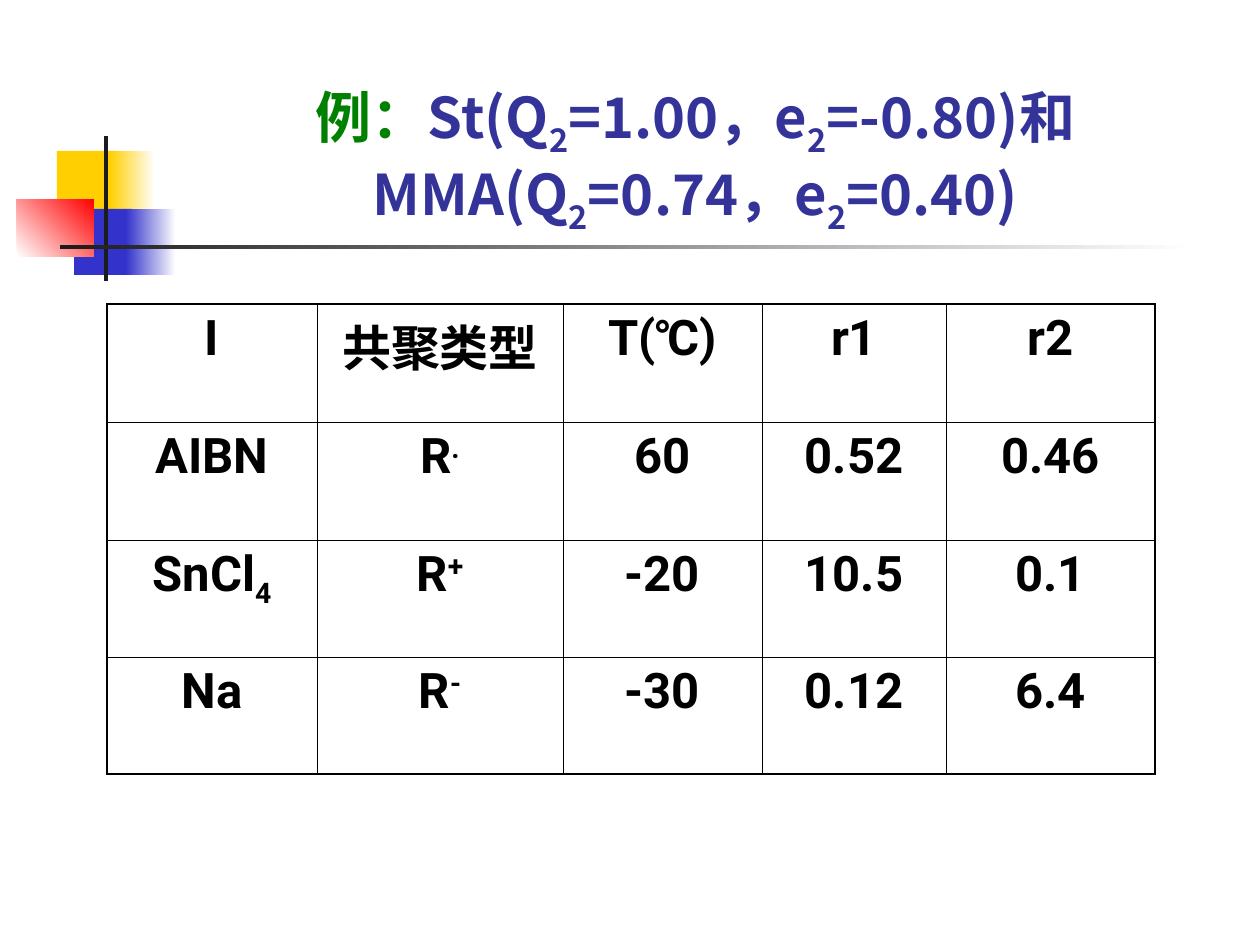
from lxml.etree import SubElement
from pptx import Presentation
from pptx.dml.color import RGBColor as RGB
from pptx.enum.shapes import MSO_SHAPE as SHAPE
from pptx.enum.text import MSO_ANCHOR as ANCHOR, PP_ALIGN as ALIGN
from pptx.oxml.ns import qn
from pptx.util import Pt

PX = 914400 / 126


class Theme:
    gold, blue, red = "FFCF01", "3333CC", "FF0000"
    white, dark, black = "FFFFFF", "1C1C1C", "000000"
    green, navy = "008000", "333399"
    cjk, latin = "Noto Sans CJK JP", "Roboto"
    head, cell = 32, 28
    thick, thin = 1.08, 0.45


def emu(*nums):
    return [round(n * PX) for n in nums]


def write(par, text, size, color, font, shift=0):
    """Add one bold run; shift raises or lowers it, in percent."""
    run = par.add_run()
    run.text = text
    face = run.font
    face.size, face.bold, face.name = Pt(size), True, font
    face.color.rgb = RGB.from_string(color)
    props = run._r.get_or_add_rPr()
    SubElement(props, qn("a:ea")).set("typeface", Theme.cjk)
    if shift:
        props.set("baseline", str(shift * 1000))


def write_all(par, parts, **form):
    """Write plain strings and (text, shift) pairs in turn."""
    par.alignment = ALIGN.CENTER
    for part in parts:
        text, shift = (part, 0) if isinstance(part, str) else part
        write(par, text, shift=shift, **form)


def block(slide, x, y, w, h, color, end=None, angle=0):
    rect = slide.shapes.add_shape(SHAPE.RECTANGLE, *emu(x, y, w, h))
    rect.shadow.inherit = False
    rect.line.fill.background()
    if end is None:
        rect.fill.solid()
        rect.fill.fore_color.rgb = RGB.from_string(color)
        return
    rect.fill.gradient()
    rect.fill.gradient_angle = angle
    for stop, tone in zip(rect.fill.gradient_stops, (color, end)):
        stop.color.rgb = RGB.from_string(tone)


def add_motif(slide, x, y):
    # Yellow and blue bars, each fading to white
    block(slide, x + 40, y + 15, 61, 65, Theme.gold)
    block(slide, x + 93, y + 15, 45, 65, Theme.gold, Theme.white)
    block(slide, x + 57, y + 73, 58, 66, Theme.blue)
    block(slide, x + 109, y + 73, 50, 66, Theme.blue, Theme.white)
    # Red corner
    block(slide, x, y + 63, 77, 58, Theme.white, Theme.red, 45)
    # Crossing rules
    block(slide, x + 87, y, 4, 145, Theme.dark)
    block(slide, x + 43, y + 109, 1134, 4, Theme.dark, Theme.white)


def add_title(slide, x, y, w, h):
    frame = slide.shapes.add_textbox(*emu(x, y, w, h)).text_frame
    frame.word_wrap = True
    frame.vertical_anchor = ANCHOR.BOTTOM
    par = frame.paragraphs[0]
    form = dict(size=Theme.head, font=Theme.cjk)
    sub = ("2", -25)
    write_all(par, ["例："], color=Theme.green, **form)
    write_all(par, ["St(Q", sub, "=1.00，e", sub, "=-0.80)和MMA(Q", sub,
                    "=0.74，e", sub, "=0.40)"], color=Theme.navy, **form)


def set_edge(cell, side, width):
    line = SubElement(cell._tc.get_or_add_tcPr(), qn("a:ln" + side))
    line.set("w", str(Pt(width)))
    fill = SubElement(line, qn("a:solidFill"))
    SubElement(fill, qn("a:srgbClr")).set("val", Theme.black)


def add_grid(slide, x, y, cols, rows, data):
    table = slide.shapes.add_table(
        len(rows), len(cols), *emu(x, y, sum(cols), sum(rows))).table
    table.first_row = table.horz_banding = False
    for col, width in zip(table.columns, emu(*cols)):
        col.width = width
    for row, height in zip(table.rows, emu(*rows)):
        row.height = height
    for r, line in enumerate(data):
        for c, parts in enumerate(line):
            cell = table.cell(r, c)
            # Outer edges are thick, inner ones thin
            outer = {"L": c == 0, "R": c == len(cols) - 1,
                     "T": r == 0, "B": r == len(rows) - 1}
            for side, edge in outer.items():
                set_edge(cell, side, Theme.thick if edge else Theme.thin)
            cell.fill.background()
            write_all(cell.text_frame.paragraphs[0], parts, size=Theme.cell,
                      color=Theme.black, font=Theme.latin)


def main():
    deck = Presentation()
    deck.slide_width, deck.slide_height = emu(1260, 945)
    slide = deck.slides.add_slide(deck.slide_layouts[6])
    add_motif(slide, 17, 136)
    add_title(slide, 159, 84, 1073, 158)
    add_grid(slide, 107, 304, [210, 246, 199, 184, 209], [118, 118, 117, 117], [
        [["I"], ["共聚类型"], ["T(℃)"], ["r1"], ["r2"]],
        [["AIBN"], ["R", (".", 30)], ["60"], ["0.52"], ["0.46"]],
        [["SnCl", ("4", -25)], ["R", ("+", 30)], ["-20"], ["10.5"], ["0.1"]],
        [["Na"], ["R", ("-", 30)], ["-30"], ["0.12"], ["6.4"]],
    ])
    deck.save("out.pptx")


if __name__ == "__main__":
    main()
